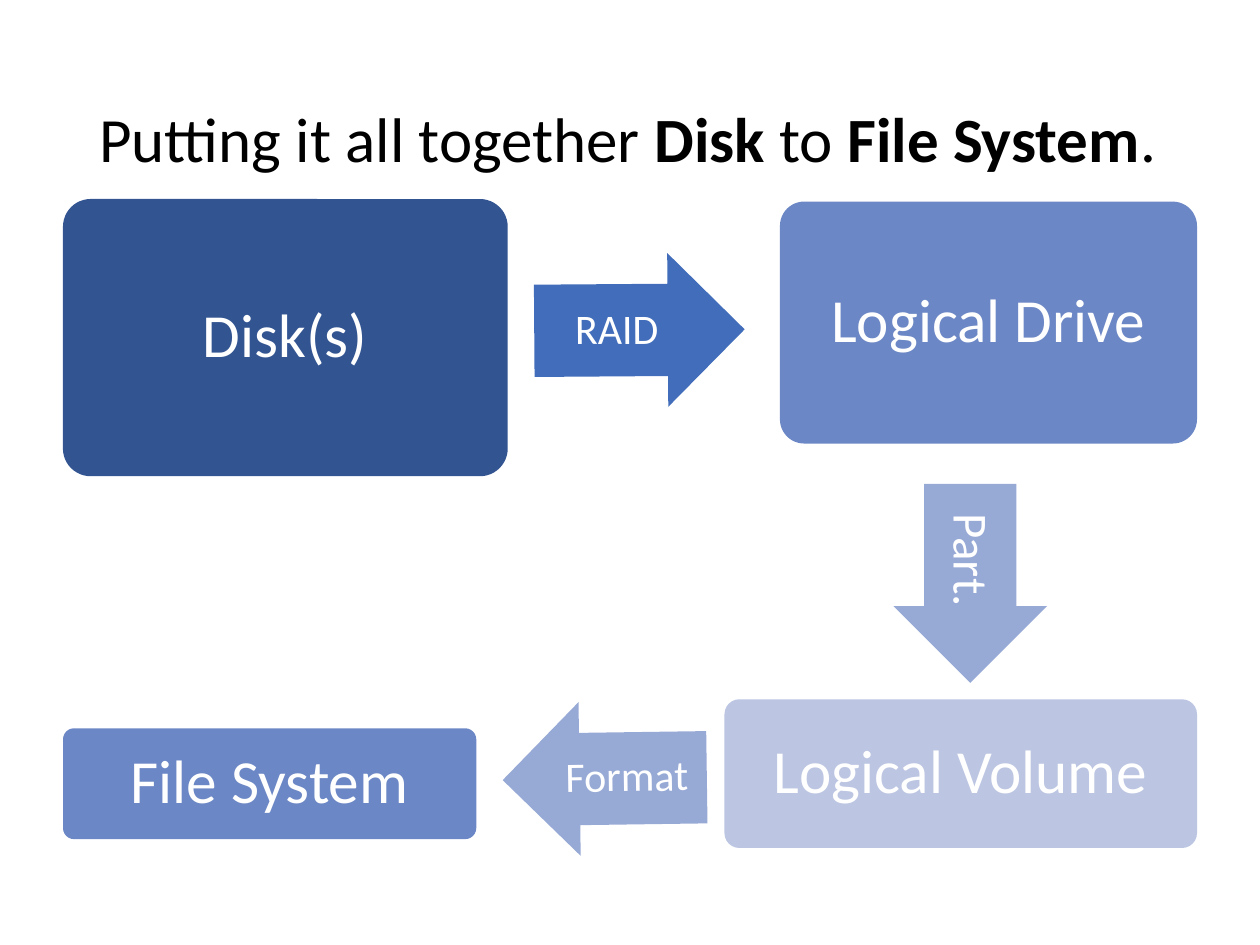
from dataclasses import dataclass

from pptx import Presentation
from pptx.dml.color import RGBColor
from pptx.enum.shapes import MSO_SHAPE
from pptx.enum.text import MSO_ANCHOR, PP_ALIGN
from pptx.util import Inches, Pt


@dataclass(frozen=True)
class Theme:
    font: str = "Calibri"
    title_color: str = "000000"
    label_color: str = "FFFFFF"
    navy: str = "325491"
    blue: str = "416DBB"
    medium: str = "6C87C5"
    light: str = "97A9D5"
    pale: str = "BCC6E2"
    title_size: int = 36
    stage_size: int = 35
    step_size: int = 24
    large_step_size: int = 28
    line_spacing: float = 0.9


@dataclass(frozen=True)
class Area:
    left: float
    top: float
    width: float
    height: float

    def lengths(self) -> list:
        return [Inches(v) for v in (self.left, self.top, self.width, self.height)]


@dataclass(frozen=True)
class Stage:
    text: str
    area: Area
    fill: str


@dataclass(frozen=True)
class Step:
    text: str
    arrow: Area
    rotation: float
    fill: str
    label: Area
    size: int
    label_rotation: float = 0
    vertical: bool = False


THEME = Theme()

TITLE_AREA = Area(0.69, 0.4, 8.62, 1.45)
TITLE_RUNS = [
    ("Putting it all together ", False),
    ("Disk ", True),
    ("to ", False),
    ("File System", True),
    (".", False),
]

STAGES = [
    Stage("Disk(s)", Area(0.5, 1.58, 3.53, 2.2), THEME.navy),
    Stage("Logical Drive", Area(6.19, 1.6, 3.31, 1.92), THEME.medium),
    Stage("Logical Volume", Area(5.75, 5.55, 3.75, 1.18), THEME.pale),
    Stage("File System", Area(0.5, 5.78, 3.28, 0.88), THEME.medium),
]

STEPS = [
    Step("RAID", Area(4.24, 2.01, 1.67, 1.22), 359.6, THEME.blue,
         Area(4.24, 2.26, 1.31, 0.73), THEME.step_size, label_rotation=359.6),
    Step("Part.", Area(6.91, 4.02, 1.58, 1.22), 90, THEME.light,
         Area(7.33, 3.84, 0.73, 1.21), THEME.large_step_size, vertical=True),
    Step("Format", Area(3.99, 5.57, 1.62, 1.22), 179.2, THEME.light,
         Area(4.35, 5.81, 1.25, 0.73), THEME.step_size, label_rotation=359.2),
]


def set_attributes(target, values: dict) -> None:
    for name, value in values.items():
        setattr(target, name, value)


def write_text(shape, runs: list, size: int, color: str, align, margins: tuple) -> None:
    """Fill a shape with one middle-anchored paragraph of (text, bold) runs."""
    horizontal, vertical = (Inches(margin) for margin in margins)
    set_attributes(shape.text_frame, {
        "word_wrap": True,
        "vertical_anchor": MSO_ANCHOR.MIDDLE,
        "margin_left": horizontal,
        "margin_right": horizontal,
        "margin_top": vertical,
        "margin_bottom": vertical,
    })
    paragraph = shape.text_frame.paragraphs[0]
    set_attributes(paragraph, {"alignment": align, "line_spacing": THEME.line_spacing})
    for text, bold in runs:
        run = paragraph.add_run()
        run.text = text
        set_attributes(run.font, {"name": THEME.font, "size": Pt(size), "bold": bold})
        run.font.color.rgb = RGBColor.from_string(color)


def add_filled_shape(slide, kind, area: Area, fill: str, adjustments: list):
    shape = slide.shapes.add_shape(kind, *area.lengths())
    shape.shadow.inherit = False
    shape.fill.solid()
    shape.fill.fore_color.rgb = RGBColor.from_string(fill)
    shape.line.fill.background()
    for index, value in enumerate(adjustments):
        shape.adjustments[index] = value
    return shape


def draw_title(slide) -> None:
    box = slide.shapes.add_textbox(*TITLE_AREA.lengths())
    write_text(box, TITLE_RUNS, THEME.title_size, THEME.title_color,
               PP_ALIGN.LEFT, (0.1, 0.05))


def draw_stage(slide, stage: Stage) -> None:
    shape = add_filled_shape(slide, MSO_SHAPE.ROUNDED_RECTANGLE, stage.area,
                             stage.fill, [0.1])
    write_text(shape, [(stage.text, False)], THEME.stage_size, THEME.label_color,
               PP_ALIGN.CENTER, (0.15, 0.15))


def draw_step(slide, step: Step) -> None:
    arrow = add_filled_shape(slide, MSO_SHAPE.RIGHT_ARROW, step.arrow,
                             step.fill, [0.6, 0.5])
    arrow.rotation = step.rotation
    # The label stays readable whichever way the arrow points
    label = slide.shapes.add_textbox(*step.label.lengths())
    label.rotation = step.label_rotation
    write_text(label, [(step.text, False)], step.size, THEME.label_color,
               PP_ALIGN.CENTER, (0, 0))
    if step.vertical:
        label.text_frame._txBody.bodyPr.set("vert", "vert")


def main() -> None:
    presentation = Presentation()
    set_attributes(presentation, {"slide_width": Inches(10), "slide_height": Inches(7.5)})
    slide = presentation.slides.add_slide(presentation.slide_layouts[6])

    # Heading
    draw_title(slide)

    # Storage stages
    for stage in STAGES:
        draw_stage(slide, stage)

    # Steps leading from one stage to the next
    for step in STEPS:
        draw_step(slide, step)

    presentation.save("out.pptx")


if __name__ == "__main__":
    main()
